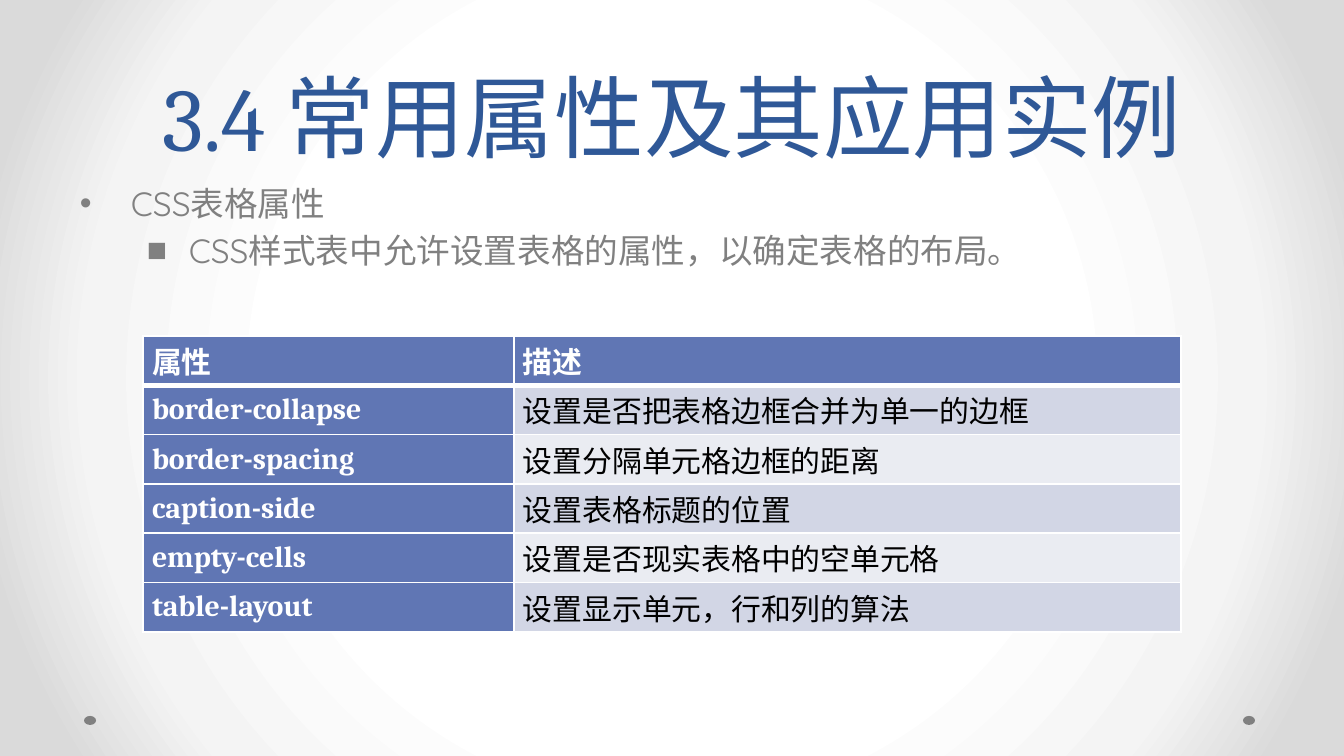
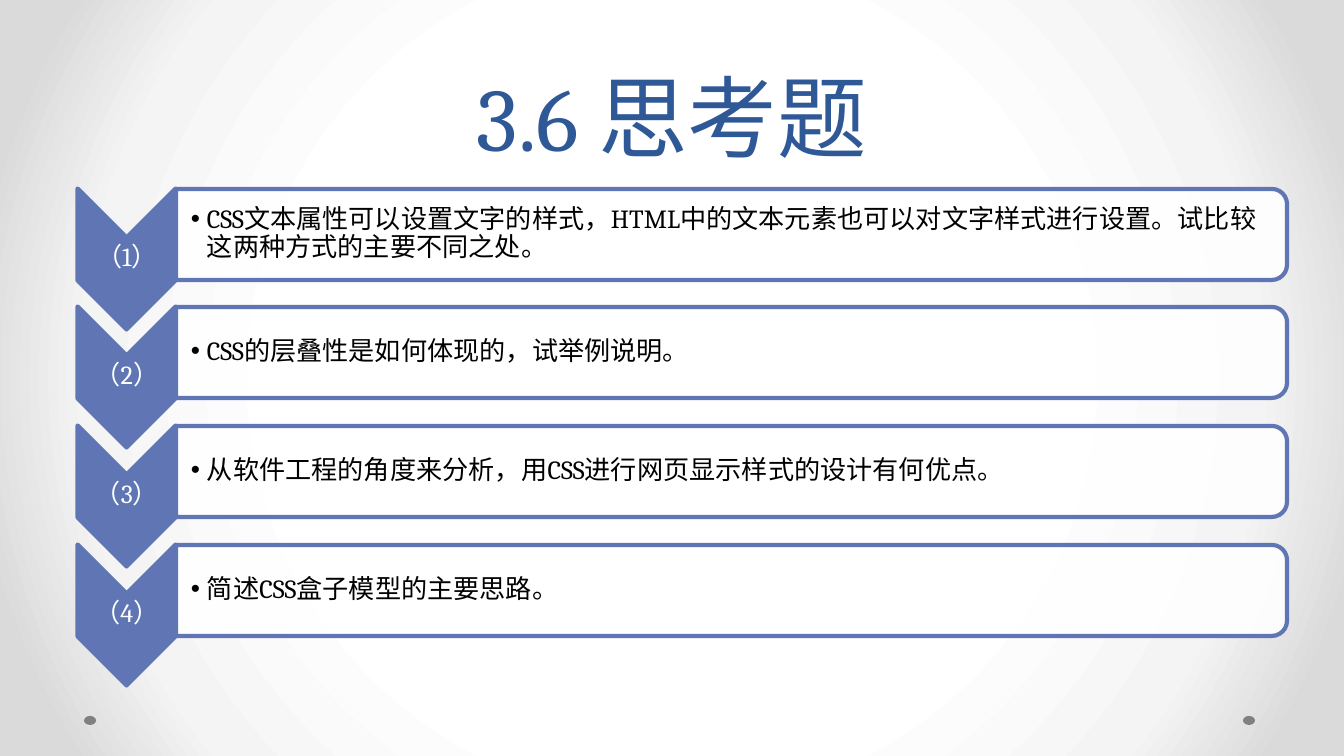
from lxml.etree import SubElement
from pptx import Presentation
from pptx.dml.color import RGBColor
from pptx.enum.shapes import MSO_SHAPE
from pptx.enum.text import MSO_ANCHOR, PP_ALIGN
from pptx.oxml import parse_xml
from pptx.oxml.ns import nsdecls, qn
from pptx.util import Emu, Pt

SCALE = 914400 / 134.4
COLORS = {
    "title": "2F5897", "accent": "6076B4", "gray": "808080",
    "white": "FFFFFF", "black": "000000", "mid": "F4F4F4", "edge": "DADADA",
    "band_dark": "D2D6E5", "band_light": "EAECF2",
}
RGB = {name: RGBColor.from_string(value) for name, value in COLORS.items()}


def px(*lengths):
    return [Emu(round(n * SCALE)) for n in lengths]


def add_text(s, box, text, size, color, font="Cambria", insets=(13, 7, 13, 7),
             anchor=MSO_ANCHOR.MIDDLE, align=None, spacing=None,
             before=0, after=0, bullet=None, indent=(0, 0)):
    tf = s.shapes.add_textbox(*px(*box)).text_frame
    tf.word_wrap = True
    tf.vertical_anchor = anchor
    tf.margin_left, tf.margin_top, tf.margin_right, tf.margin_bottom = px(*insets)
    p = tf.paragraphs[0]
    p.alignment = align
    p.line_spacing = spacing
    p.space_before, p.space_after = Pt(before), Pt(after)
    if bullet:
        pPr = p._p.get_or_add_pPr()
        left, first = px(*indent)
        pPr.set("marL", str(left))
        pPr.set("indent", str(first))
        SubElement(pPr, qn("a:buFont"), typeface="Arial")
        SubElement(pPr, qn("a:buChar"), char=bullet)
    r = p.add_run()
    r.text = text
    r.font.size, r.font.name = Pt(size), font
    r.font.color.rgb = RGB[color]


prs = Presentation()
prs.slide_width, prs.slide_height = px(1344, 756)

# Shared background, corner dots and title
stops = "".join(
    f'<a:gs pos="{pos}000"><a:srgbClr val="{COLORS[name]}"/></a:gs>'
    for pos, name in [(50, "white"), (76, "mid"), (92, "edge")])
slides = []
for title in ["3.4 常用属性及其应用实例", "3.6 思考题"]:
    s = prs.slides.add_slide(prs.slide_layouts[6])
    s.background.fill.solid()
    bgPr = s._element.cSld.bg.bgPr
    bgPr.replace(bgPr[0], parse_xml(
        f'<a:gradFill {nsdecls("a")} rotWithShape="1"><a:gsLst>{stops}</a:gsLst>'
        '<a:path path="circle"><a:fillToRect l="50000" t="50000" r="50000" b="50000"/>'
        '</a:path></a:gradFill>'))
    for x in (1243, 84):
        sp = s.shapes.add_shape(MSO_SHAPE.OVAL, *px(x, 716, 12, 9))
        sp.shadow.inherit = False
        sp.fill.solid()
        sp.fill.fore_color.rgb = RGB["gray"]
        sp.line.fill.background()
    add_text(s, (67, 0, 1210, 176), title, 48, "title", anchor=MSO_ANCHOR.BOTTOM,
             align=PP_ALIGN.CENTER, spacing=Pt(58))
    slides.append(s)

# Slide 1: introduction
s = slides[0]
for y, text, bullet, indent in [
    (176, "CSS表格属性", "•", (51, -51)),
    (223, "CSS样式表中允许设置表格的属性，以确定表格的布局。", "■", (109, -42)),
]:
    add_text(s, (67, y, 1210, 54), text, 18, "gray", font="Quicksand",
             anchor=MSO_ANCHOR.TOP, before=3.6, bullet=bullet, indent=indent)

# Slide 1: property table
rows = [
    ("属性", "描述"),
    ("border-collapse", "设置是否把表格边框合并为单一的边框"),
    ("border-spacing", "设置分隔单元格边框的距离"),
    ("caption-side", "设置表格标题的位置"),
    ("empty-cells", "设置是否现实表格中的空单元格"),
    ("table-layout", "设置显示单元，行和列的算法"),
]
table = s.shapes.add_table(len(rows), 2, *px(143, 336, 1038, 296)).table
table.columns[0].width, table.columns[1].width = px(371, 667)
for i, row in enumerate(rows):
    for j, text in enumerate(row):
        cell = table.cell(i, j)
        heading = i == 0 or j == 0
        cell.vertical_anchor = MSO_ANCHOR.MIDDLE
        cell.margin_left, cell.margin_top, cell.margin_right, cell.margin_bottom = px(9, 0, 9, 0)
        tcPr = cell._tc.get_or_add_tcPr()
        for side in "LRTB":
            thick = (i, side) in [(0, "B"), (1, "T")]
            ln = SubElement(tcPr, qn(f"a:ln{side}"), w=str(Pt(3 if thick else 1)))
            SubElement(SubElement(ln, qn("a:solidFill")), qn("a:srgbClr"), val=COLORS["white"])
        cell.fill.solid()
        band = "band_dark" if i % 2 else "band_light"
        cell.fill.fore_color.rgb = RGB["accent" if heading else band]
        r = cell.text_frame.paragraphs[0].add_run()
        r.text = text
        r.font.size, r.font.name, r.font.bold = Pt(16), "Cambria", heading
        r.font.color.rgb = RGB["white" if heading else "black"]

# Slide 2: numbered questions
s = slides[1]
questions = [
    "CSS文本属性可以设置文字的样式，HTML中的文本元素也可以对文字样式进行设置。试比较这两种方式的主要不同之处。",
    "CSS的层叠性是如何体现的，试举例说明。",
    "从软件工程的角度来分析，用CSS进行网页显示样式的设计有何优点。",
    "简述CSS盒子模型的主要思路。",
]
for i, question in enumerate(questions):
    dy = i * 356 // 3
    for kind, box, fill in [
        (MSO_SHAPE.CHEVRON, (56, 210 + dy, 141, 98), "accent"),
        (MSO_SHAPE.ROUND_2_SAME_RECTANGLE, (686, -321 + dy, 91, 1111), "white"),
    ]:
        sp = s.shapes.add_shape(kind, *px(*box))
        sp.rotation = 90
        sp.shadow.inherit = False
        sp.fill.solid()
        sp.fill.fore_color.rgb = RGB[fill]
        sp.line.color.rgb = RGB["accent"]
        sp.line.width = Pt(2.25)
        if fill == "white":
            color = sp._element.spPr.find(qn("a:solidFill"))[0]
            SubElement(color, qn("a:alpha"), val="90000")
    add_text(s, (78, 237 + dy, 98, 42), f"（{i + 1}）", 14, "white", insets=(1, 1, 1, 1),
             align=PP_ALIGN.CENTER, spacing=0.9, after=4.9)
    add_text(s, (176, 193 + dy, 1106, 82), question, 14, "black", insets=(15, 1, 1, 1),
             spacing=0.9, after=2.1, bullet="•", indent=(16, -16))

prs.save("out.pptx")
